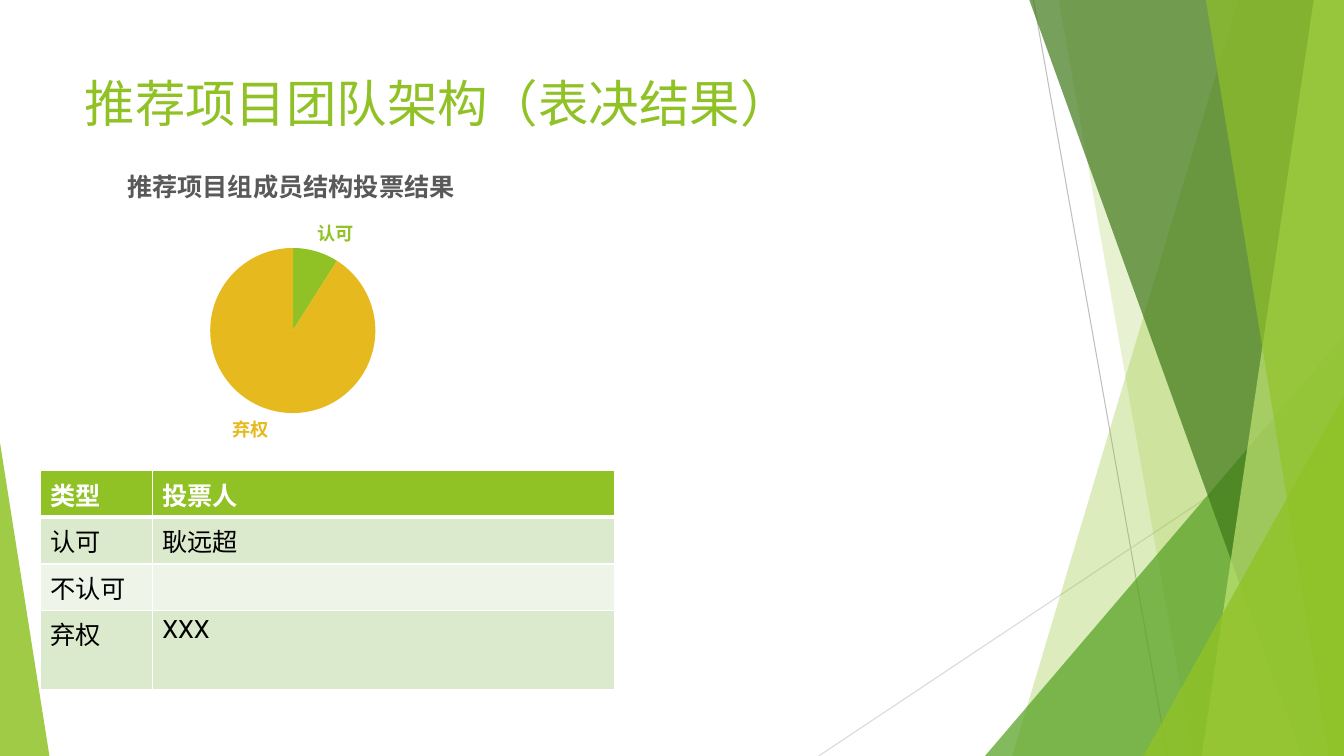
from lxml import etree
from pptx import Presentation, util as u
from pptx.chart.data import CategoryChartData
from pptx.dml.color import RGBColor
from pptx.enum import chart as ch, shapes, text
from pptx.oxml.ns import qn

LIME = RGBColor(0x90, 0xC2, 0x26)
GREEN = RGBColor(0x54, 0xA0, 0x21)
FOREST = RGBColor(0x3F, 0x78, 0x19)
PALE_LIME = RGBColor(0xC0, 0xE4, 0x74)
GOLD = RGBColor(0xE6, 0xB9, 0x1E)
BAND_DARK = RGBColor(0xDB, 0xE9, 0xCD)
BAND_LIGHT = RGBColor(0xEE, 0xF4, 0xE8)
WHITE = RGBColor(0xFF, 0xFF, 0xFF)
BLACK = RGBColor(0, 0, 0)
HEADING_GRAY = RGBColor(0x59, 0x59, 0x59)
LINE_DARK = RGBColor(0xBF, 0xBF, 0xBF)
LINE_LIGHT = RGBColor(0xD9, 0xD9, 0xD9)
FONT = "Roboto"


def style(font, size=18, color=BLACK, bold=False):
    font.name, font.size, font.bold = FONT, u.Pt(size), bold
    font.color.rgb = color


def write(frame, words, align=text.PP_ALIGN.LEFT, **fmt):
    paragraph = frame.paragraphs[0]
    paragraph.alignment = align
    run = paragraph.add_run()
    run.text = words
    style(run.font, **fmt)


class Page:
    """A slide measured on a grid of 100 columns and 100 rows."""

    def __init__(self, deck):
        self.col, self.row = deck.slide_width / 100, deck.slide_height / 100
        self.slide = deck.slides.add_slide(deck.slide_layouts[5])
        self.shapes = self.slide.shapes

    def x(self, columns):
        return u.Emu(round(columns * self.col))

    def y(self, rows):
        return u.Emu(round(rows * self.row))

    def box(self, left, top, width, height):
        return self.x(left), self.y(top), self.x(width), self.y(height)

    def paint(self, shape, color, opacity):
        shape.shadow.inherit = False
        shape.fill.solid()
        shape.fill.fore_color.rgb = color
        shape.line.fill.background()
        tint = shape.fill._xPr.find(".//" + qn("a:srgbClr"))
        etree.SubElement(tint, qn("a:alpha"), val=str(opacity * 1000))

    def line(self, x1, y1, x2, y2, color):
        ray = self.shapes.add_connector(
            shapes.MSO_CONNECTOR.STRAIGHT,
            self.x(x1), self.y(y1), self.x(x2), self.y(y2))
        ray.line.color.rgb = color
        ray.line.width = u.Pt(0.75)
        etree.SubElement(ray._element.spPr, qn("a:effectLst"))

    def panel(self, top_x, bottom_x, color, opacity):
        """A full-height panel that reaches the right edge."""
        builder = self.shapes.build_freeform(self.x(top_x), 0)
        builder.add_line_segments([
            (self.x(100), 0), (self.x(100), self.y(100)),
            (self.x(bottom_x), self.y(100))], close=True)
        self.paint(builder.convert_to_shape(), color, opacity)

    def corner(self, left, top, width, apex, color, opacity):
        """A triangle that stands on the bottom edge."""
        wedge = self.shapes.add_shape(
            shapes.MSO_SHAPE.ISOSCELES_TRIANGLE,
            *self.box(left, top, width, 100 - top))
        wedge.adjustments[0] = apex
        self.paint(wedge, color, opacity)

    def title(self, words, area):
        heading = self.shapes.title
        heading.left, heading.top, heading.width, heading.height = self.box(*area)
        heading.text_frame.vertical_anchor = text.MSO_ANCHOR.TOP
        write(heading.text_frame, words, size=36, color=LIME)

    def pie(self, heading, votes, colors, area):
        data = CategoryChartData()
        data.categories = list(votes)
        data.add_series("Series 1", list(votes.values()))
        chart = self.shapes.add_chart(
            ch.XL_CHART_TYPE.PIE, *self.box(*area), data).chart
        style(chart.font, size=10)
        chart.has_legend = False
        chart.has_title = True
        write(chart.chart_title.text_frame, heading, text.PP_ALIGN.CENTER,
              color=HEADING_GRAY, bold=True)
        place(chart.chart_title._element, x=0.11, y=0.06)
        place(chart._chartSpace.chart.plotArea, x=0.31, y=0.34, w=0.38, h=0.52)

        chart.plots[0].vary_by_categories = True
        series = chart.plots[0].series[0]
        for index, color in enumerate(colors):
            point = series.points[index]
            point.format.fill.solid()
            point.format.fill.fore_color.rgb = color
            style(point.data_label.font, size=13, color=color, bold=True)
            point.data_label.position = ch.XL_LABEL_POSITION.OUTSIDE_END
        labels = series.data_labels
        labels.position = ch.XL_LABEL_POSITION.OUTSIDE_END
        for tag, shown in (("c:showVal", "0"), ("c:showCatName", "1"),
                           ("c:showPercent", "0")):
            for flag in labels._element.iter(qn(tag)):
                flag.set("val", shown)

    def table(self, rows, left, top, widths, heights):
        grid = self.shapes.add_table(
            len(rows), len(widths),
            *self.box(left, top, sum(widths), sum(heights))).table
        for column, width in zip(grid.columns, widths):
            column.width = self.x(width)
        for r, (row, height) in enumerate(zip(rows, heights)):
            grid.rows[r].height = self.y(height)
            fill = (BAND_DARK if r % 2 else BAND_LIGHT) if r else LIME
            for c, words in enumerate(row):
                cell = grid.cell(r, c)
                for side in "LRTB":
                    thick = (r, side) in ((0, "B"), (1, "T"))
                    border(cell, side, 3 if thick else 1)
                cell.fill.solid()
                cell.fill.fore_color.rgb = fill
                if words:
                    write(cell.text_frame, words, bold=r == 0,
                          color=BLACK if r else WHITE)


def place(element, **shares):
    """Fix a chart part by shares of the chart's size."""
    layout = element.find(qn("c:layout"))
    if layout is None:
        layout = etree.Element(qn("c:layout"))
        text_part = element.find(qn("c:tx"))
        element.insert(0 if text_part is None else 1, layout)
    manual = etree.SubElement(layout, qn("c:manualLayout"))
    if "w" in shares:
        etree.SubElement(manual, qn("c:layoutTarget"), val="inner")
    for axis in "xy":
        etree.SubElement(manual, qn(f"c:{axis}Mode"), val="edge")
    for key, share in shares.items():
        etree.SubElement(manual, qn(f"c:{key}"), val=str(share))


def border(cell, side, points):
    edge = etree.SubElement(cell._tc.get_or_add_tcPr(), qn(f"a:ln{side}"),
                            w=str(u.Pt(points)))
    fill = etree.SubElement(edge, qn("a:solidFill"))
    etree.SubElement(fill, qn("a:srgbClr"), val=str(WHITE))


def main():
    deck = Presentation()
    deck.slide_width, deck.slide_height = u.Inches(13.33), u.Inches(7.5)
    page = Page(deck)

    # Faceted backdrop
    page.line(76.9, 0, 86.87, 100, LINE_DARK)
    page.line(100, 53.73, 60.92, 100, LINE_LIGHT)
    page.panel(92.12, 75.32, LIME, 30)
    page.panel(78.77, 88.75, LIME, 20)
    page.corner(73.29, 44.4, 26.71, 1, GREEN, 72)
    page.panel(76.59, 96.85, FOREST, 70)
    page.panel(97.75, 89.42, PALE_LIME, 70)
    page.panel(89.72, 98.87, LIME, 65)
    page.corner(85.07, 52.4, 14.93, 1, LIME, 80)
    page.corner(0, 58.53, 3.68, 0, LIME, 85)

    # Vote result
    page.title("推荐项目团队架构（表决结果）", (5.55, 8.93, 70.52, 19.2))
    page.pie("推荐项目组成员结构投票结果", {"认可": 9, "不认可": 0, "弃权": 91},
             (LIME, GREEN, GOLD), (5.55, 18.53, 32.48, 42))

    # Voters by type
    page.table([("类型", "投票人"), ("认可", "耿远超"), ("不认可", ""), ("弃权", "XXX")],
               3, 62.27, (8.33, 34.43), (6.15, 6.15, 6.15, 10.4))

    deck.save("out.pptx")


if __name__ == "__main__":
    main()
